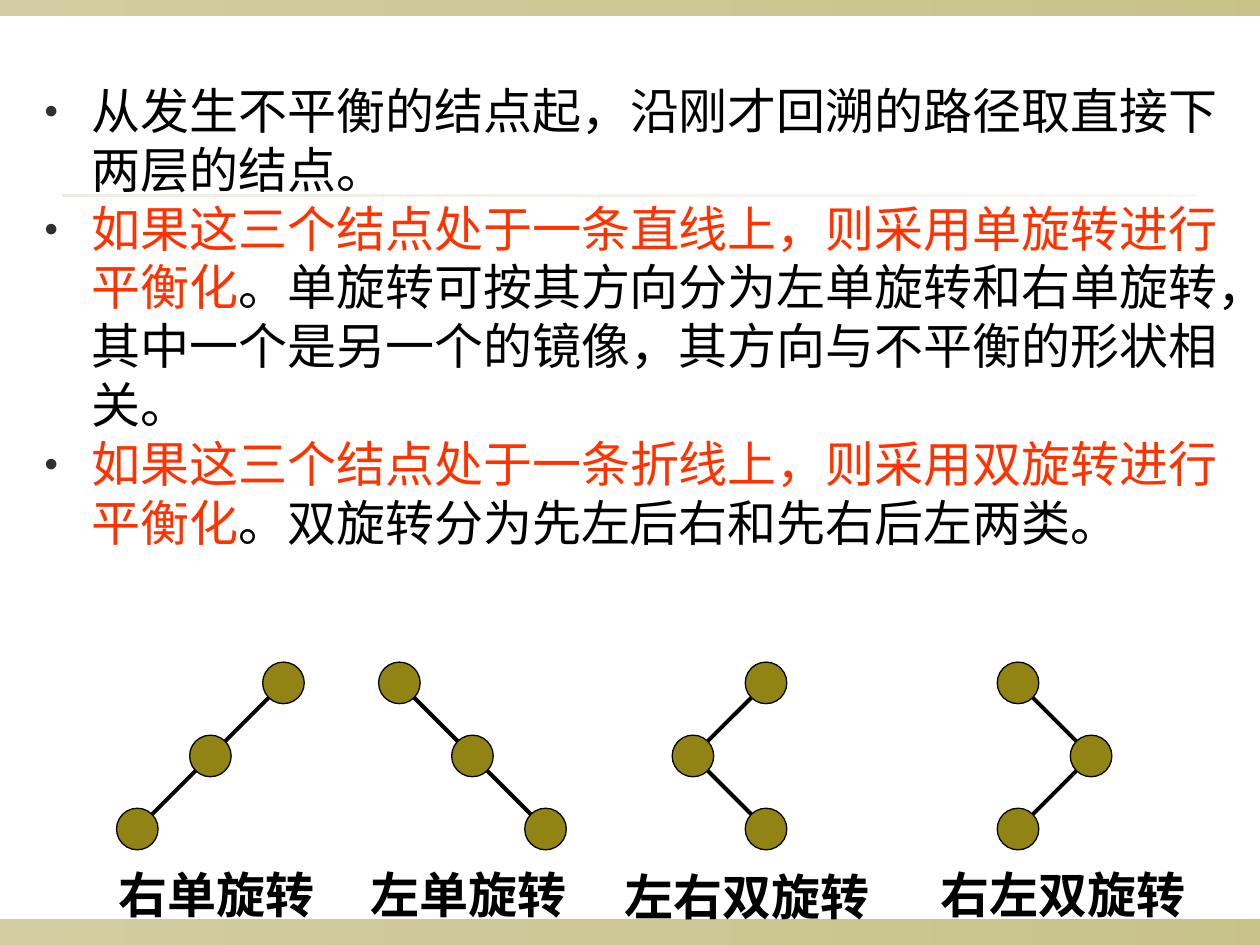
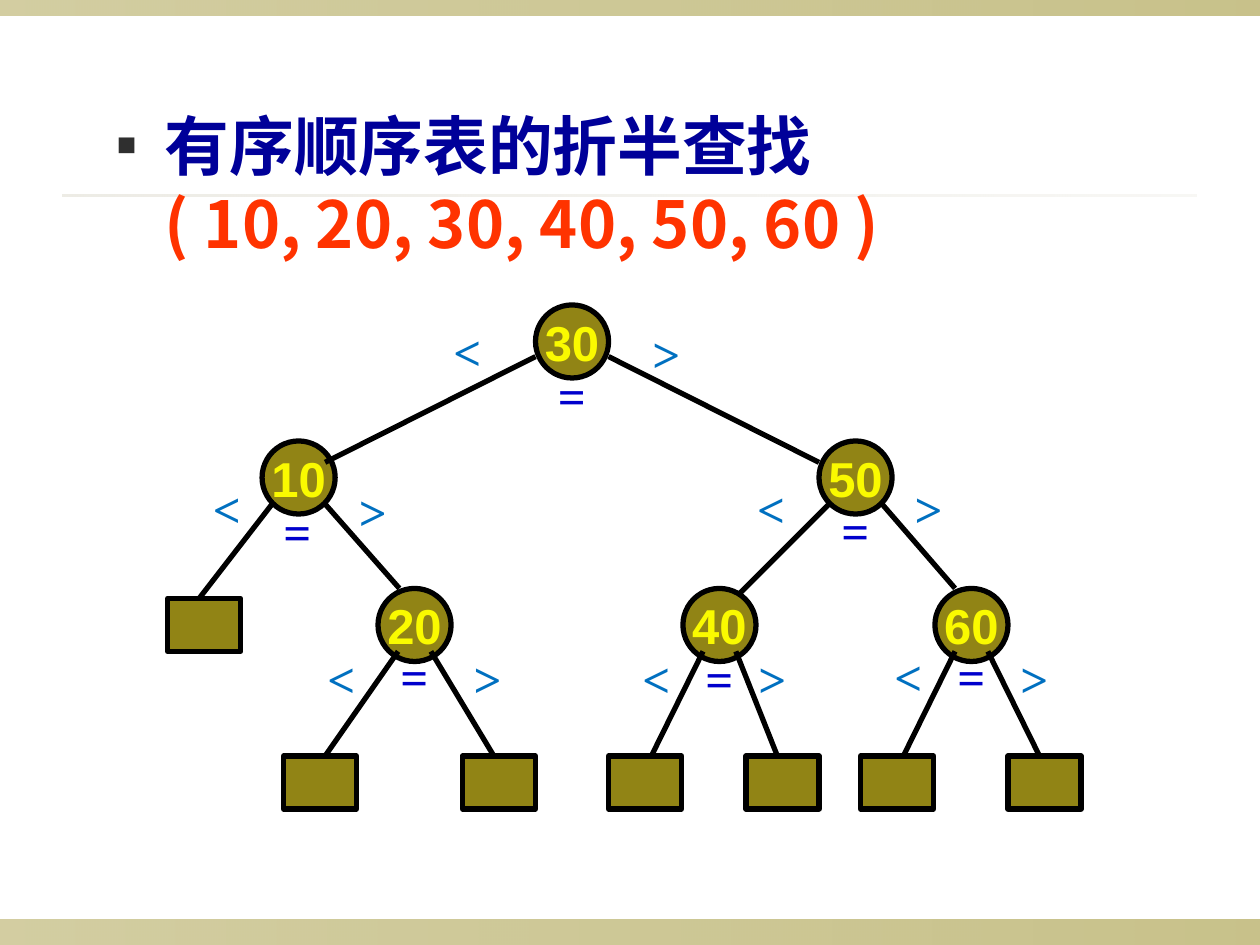
import pptx
import pptx.util
import pptx.dml.color
import pptx.enum.shapes
import pptx.enum.text
import pptx.oxml
import pptx.oxml.ns
from lxml import etree

Inches = pptx.util.Inches
Pt = pptx.util.Pt
RGBColor = pptx.dml.color.RGBColor
SHAPE = pptx.enum.shapes.MSO_SHAPE
qn = pptx.oxml.ns.qn

OLIVE = RGBColor(0x91, 0x84, 0x15)
RULE = RGBColor(0xDC, 0xD9, 0xCC)
BLACK = RGBColor(0, 0, 0)
RED = RGBColor(0xFF, 0x33, 0x00)
NAVY = RGBColor(0x00, 0x00, 0x99)
EQUAL_BLUE = RGBColor(0x00, 0x00, 0xCC)
ORDER_BLUE = RGBColor(0x00, 0x70, 0xC0)
YELLOW = RGBColor(0xFA, 0xFA, 0x00)
BULLET_GREY = RGBColor(0x2F, 0x2F, 0x2F)

CJK = "Noto Sans CJK SC"
SERIF = "Times New Roman"
SANS = "Arial"


def write(paragraph, text, size=28, font=CJK, color=BLACK, bold=False):
    run = paragraph.add_run()
    run.text = text
    run.font.size = Pt(size)
    run.font.name = font
    run.font.bold = bold
    run.font.color.rgb = color
    east_asian = etree.SubElement(run.font._element, qn("a:ea"))
    east_asian.set("typeface", CJK)


def add_bullet(paragraph, mark, tab=None):
    props = paragraph._p.get_or_add_pPr()
    props.set("marL", str(Inches(0.38)))
    props.set("indent", str(-Inches(0.38)))
    color = etree.SubElement(props, qn("a:buClr"))
    etree.SubElement(color, qn("a:srgbClr")).set("val", str(BULLET_GREY))
    etree.SubElement(props, qn("a:buSzPct")).set("val", "50000")
    etree.SubElement(props, qn("a:buFont")).set("typeface", SANS)
    etree.SubElement(props, qn("a:buChar")).set("char", mark)
    if tab:
        stops = etree.SubElement(props, qn("a:tabLst"))
        stop = etree.SubElement(stops, qn("a:tab"))
        stop.set("pos", str(Inches(tab)))
        stop.set("algn", "l")


class Deck:
    def __init__(self):
        self.show = pptx.Presentation()
        self.show.slide_width = Inches(10)
        self.show.slide_height = Inches(7.5)
        self.slide = None

    def new_slide(self):
        self.slide = self.show.slides.add_slide(self.show.slide_layouts[6])
        self.band(0, 7.3, 10, 0.2, OLIVE, (40, 50))
        self.band(0, 0, 10, 0.12, OLIVE, (40, 50))
        self.band(0.5, 1.54, 9, 0.02, RULE, (50, 20))

    def shape(self, kind, left, top, width, height):
        shape = self.slide.shapes.add_shape(
            kind, Inches(left), Inches(top), Inches(width), Inches(height))
        shape.shadow.inherit = False
        return shape

    def band(self, left, top, width, height, color, opacities):
        band = self.shape(SHAPE.RECTANGLE, left, top, width, height)
        band.line.fill.background()
        band.fill.gradient()
        band.fill.gradient_angle = 0
        for stop, opacity in zip(band.fill.gradient_stops, opacities):
            stop.color.rgb = color
        for rgb, opacity in zip(band._element.spPr.iter(qn("a:srgbClr")), opacities):
            etree.SubElement(rgb, qn("a:alpha")).set("val", str(opacity * 1000))

    def node(self, kind, left, top, width, height, weight, label=""):
        node = self.shape(kind, left, top, width, height)
        node.fill.solid()
        node.fill.fore_color.rgb = OLIVE
        node.line.color.rgb = BLACK
        node.line.width = Pt(weight)
        if label:
            frame = node.text_frame
            frame.word_wrap = False
            frame.vertical_anchor = pptx.enum.text.MSO_ANCHOR.MIDDLE
            frame.paragraphs[0].alignment = pptx.enum.text.PP_ALIGN.CENTER
            write(frame.paragraphs[0], label, font=SANS, color=YELLOW, bold=True)

    def line(self, start, end, weight):
        line = self.slide.shapes.add_connector(
            pptx.enum.shapes.MSO_CONNECTOR.STRAIGHT,
            *(Inches(value) for value in (*start, *end)))
        line.line.color.rgb = BLACK
        line.line.width = Pt(weight)
        etree.SubElement(line._element.spPr, qn("a:effectLst"))

    def box(self, left, top, width, height, wrap=False):
        frame = self.slide.shapes.add_textbox(
            Inches(left), Inches(top), Inches(width), Inches(height)).text_frame
        frame.word_wrap = wrap
        return frame

    def chinese(self, place, paragraphs, size=28, bold=False, mark=None, tab=None,
                font=CJK):
        frame = self.box(*place, wrap=mark is not None)
        frame.margin_top = Inches(0.09)
        for index, pieces in enumerate(paragraphs):
            paragraph = frame.paragraphs[0] if index == 0 else frame.add_paragraph()
            paragraph.line_spacing = Pt(size * 1.2)
            if mark:
                add_bullet(paragraph, mark, tab)
            for text, color in pieces:
                write(paragraph, text, size=size, font=font, color=color, bold=bold)

    def sign(self, text, left, top, color):
        frame = self.box(left, top, 0.42, 0.57)
        write(frame.paragraphs[0], text, font=SERIF, color=color, bold=True)


def rotation_slide(deck):
    deck.new_slide()
    step, first_y, radius, inset = 0.58, 5.42, 0.165, 0.08
    rotations = [
        ("右单旋转", 2.25, (0, -1, -2), (0, 2), (0.84, 6.77, 1.75, 0.57)),
        ("左单旋转", 3.17, (0, 1, 2), (0, 2), (2.84, 6.77, 1.75, 0.57)),
        ("左右双旋转", 6.08, (0, -1, 0), (0, 1, 2), (4.86, 6.79, 2.14, 0.57)),
        ("右左双旋转", 8.08, (0, 1, 0), (0, 1, 2), (7.37, 6.77, 2.14, 0.57)),
    ]
    for name, root_x, offsets, joints, place in rotations:
        centers = [(root_x + step * offset, first_y + step * level)
                   for level, offset in enumerate(offsets)]
        for upper, lower in zip(joints, joints[1:]):
            (x1, y1), (x2, y2) = centers[upper], centers[lower]
            shift = inset if x2 > x1 else -inset
            deck.line((x1 + shift, y1 + inset), (x2 - shift, y2 - inset), 2.25)
        for x, y in centers:
            deck.node(SHAPE.OVAL, x - radius, y - radius, 2 * radius, 2 * radius, 0.75)
        deck.chinese(place, [[(name, BLACK)]], bold=True, font=SERIF)

    deck.chinese((0.25, 0.55, 9.75, 4.22), [
        [("从发生不平衡的结点起，沿刚才回溯的路径取直接下两层的结点。", BLACK)],
        [("如果这三个结点处于一条直线上，则采用单旋转进行平衡化", RED),
         ("。单旋转可按其方向分为左单旋转和右单旋转，其中一个是另一个的镜像，"
          "其方向与不平衡的形状相关。", BLACK)],
        [("如果这三个结点处于一条折线上，则采用双旋转进行平衡化", RED),
         ("。双旋转分为先左后右和先右后左两类。", BLACK)],
    ], mark="●")


def search_slide(deck):
    deck.new_slide()
    deck.chinese((0.83, 0.75, 8.17, 1.33), [
        [("有序顺序表的折半查找\t", NAVY), ("( 10, 20, 30, 40, 50, 60 )", RED)],
    ], size=37, bold=True, mark="■", tab=7.7)

    for left, top in [(1.33, 4.75)] + [
            (left, 6) for left in (2.25, 3.67, 4.83, 5.92, 6.83, 8)]:
        deck.node(SHAPE.RECTANGLE, left, top, 0.58, 0.42, 3)

    diameter = 0.58
    branches = [
        ("10", 2.08, 3.5, (0.21, 0.21), (1.58, 4.75), (3.17, 4.67),
         (1.59, 3.75), (2.15, 3.93), (2.75, 3.77)),
        ("50", 6.5, 3.5, (0.21, 0.21), (5.83, 4.75), (7.58, 4.67),
         (5.91, 3.75), (6.58, 3.92), (7.16, 3.75)),
        ("30", 4.25, 2.42, (0.29, 0.12), (2.58, 3.67), (6.5, 3.67),
         (3.5, 2.5), (4.33, 2.85), (5.08, 2.52)),
        ("20", 3, 4.67, (0.13, 0.21), (2.58, 6), (3.92, 6),
         (2.5, 5.1), (3.08, 5.08), (3.66, 5.1)),
        ("40", 5.42, 4.67, (0.13, 0.21), (5.17, 6), (6.17, 6),
         (5, 5.1), (5.5, 5.1), (5.92, 5.1)),
        ("60", 7.42, 4.67, (0.13, 0.21), (7.17, 6), (8.25, 6),
         (7, 5.08), (7.5, 5.08), (8, 5.1)),
    ]
    for key, left, top, (dx, dy), low_end, high_end, less, equal, greater in branches:
        x, y = left + diameter / 2, top + diameter / 2
        deck.node(SHAPE.OVAL, left, top, diameter, diameter, 3, key)
        deck.line((x - dx, y + dy), low_end, 3)
        deck.line((x + dx, y + dy), high_end, 3)
        deck.sign("<", *less, ORDER_BLUE)
        deck.sign("=", *equal, EQUAL_BLUE)
        deck.sign(">", *greater, ORDER_BLUE)


def main():
    deck = Deck()
    rotation_slide(deck)
    search_slide(deck)
    deck.show.save("out.pptx")


if __name__ == "__main__":
    main()
